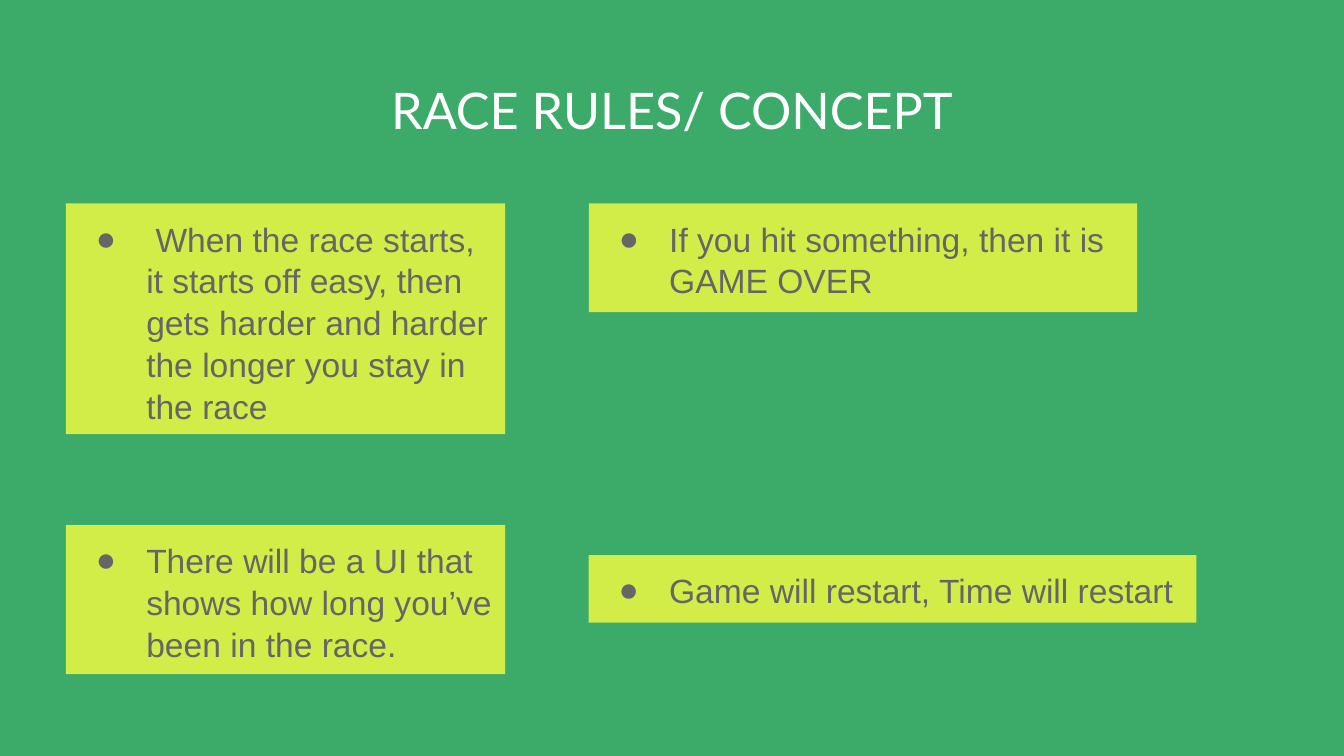
from lxml.etree import SubElement
from pptx import Presentation
from pptx.dml.color import RGBColor
from pptx.enum.shapes import MSO_SHAPE as Shape
from pptx.enum.text import MSO_ANCHOR as Anchor, MSO_AUTO_SIZE as AutoSize, PP_ALIGN as Align
from pptx.oxml.ns import qn
from pptx.util import Pt

GREEN = RGBColor(0x3C, 0xAB, 0x69)
LIME = RGBColor(0xD2, 0xED, 0x48)
GREY = RGBColor(0x66, 0x66, 0x66)
WHITE = RGBColor(0xFF, 0xFF, 0xFF)

LEFT_COLUMN, RIGHT_COLUMN = 35.3, 315.4
TOP_ROW = 109
INSET = 7.2

# left, top, width, height, wording
RULES = [
    (LEFT_COLUMN, TOP_ROW, 235.4, 123.6,
     " When the race starts, it starts off easy, then gets harder and harder "
     "the longer you stay in the race"),
    (LEFT_COLUMN, 281.3, 235.4, 79.9,
     "There will be a UI that shows how long you’ve been in the race."),
    (RIGHT_COLUMN, TOP_ROW, 293.8, 58.2,
     "If you hit something, then it is GAME OVER"),
    (RIGHT_COLUMN, 297.4, 325.6, 36.2,
     "Game will restart, Time will restart"),
]


def fill_text(shape, text, font_name, size, color, align):
    """Write one paragraph into a shape and return it."""
    frame = shape.text_frame
    frame.word_wrap = True
    frame.vertical_anchor = Anchor.TOP
    frame.margin_left = frame.margin_right = Pt(INSET)
    frame.margin_top = frame.margin_bottom = Pt(INSET)
    para = frame.paragraphs[0]
    para.text = text
    para.alignment = align
    para.font.name = font_name
    para.font.size = Pt(size)
    para.font.color.rgb = color
    return para


def add_bullet(para):
    """Give a paragraph a grey round bullet with a hanging indent."""
    properties = para._p.get_or_add_pPr()
    properties.set("marL", str(Pt(36)))
    properties.set("indent", str(-Pt(27)))
    bullet_color = SubElement(properties, qn("a:buClr"))
    SubElement(bullet_color, qn("a:srgbClr"), val=str(GREY))
    SubElement(properties, qn("a:buFont"), typeface="Arial")
    SubElement(properties, qn("a:buChar"), char="●")
    # Default run properties must follow the bullet elements.
    properties.append(properties.find(qn("a:defRPr")))


def add_title(page, text):
    box = page.shapes.add_textbox(Pt(24.5), Pt(35.3), Pt(671), Pt(45.4))
    fill_text(box, text, "Lato", 27, WHITE, Align.CENTER)


def add_rule(page, left, top, width, height, text):
    box = page.shapes.add_shape(
        Shape.RECTANGLE, Pt(left), Pt(top), Pt(width), Pt(height))
    box.shadow.inherit = False
    box.fill.solid()
    box.fill.fore_color.rgb = LIME
    box.line.fill.background()
    para = fill_text(box, text, "Arial", 18, GREY, Align.LEFT)
    para.line_spacing = 1.04
    add_bullet(para)
    box.text_frame.auto_size = AutoSize.SHAPE_TO_FIT_TEXT


def main():
    deck = Presentation()
    deck.slide_width, deck.slide_height = Pt(720), Pt(405)
    page = deck.slides.add_slide(deck.slide_layouts[6])
    page.background.fill.solid()
    page.background.fill.fore_color.rgb = GREEN
    add_title(page, "RACE RULES/ CONCEPT")
    for rule in RULES:
        add_rule(page, *rule)
    deck.save("out.pptx")


if __name__ == "__main__":
    main()
